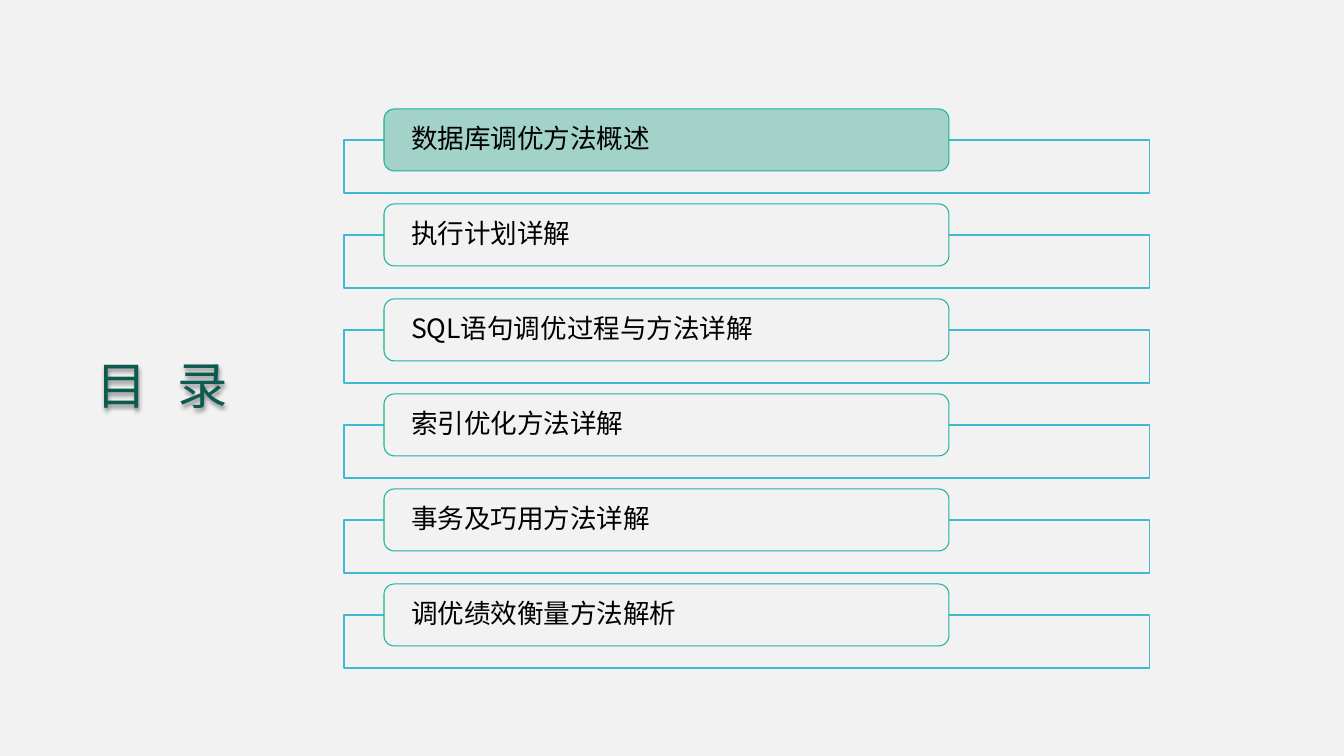
from lxml.etree import SubElement
from pptx import Presentation
from pptx.dml.color import RGBColor
from pptx.enum.shapes import MSO_SHAPE
from pptx.enum.text import MSO_ANCHOR, PP_ALIGN
from pptx.oxml.ns import qn
from pptx.util import Emu, Pt

# Content
HEADING = "目 录"
TOPICS = [
    "数据库调优方法概述",
    "执行计划详解",
    "SQL语句调优过程与方法详解",
    "索引优化方法详解",
    "事务及巧用方法详解",
    "调优绩效衡量方法解析",
]
CURRENT = 0  # highlighted topic

# Format
FONT = "Noto Sans CJK SC"
PAPER, HIGHLIGHT = "F2F2F2", "A2D2C8"
FRAME_LINE, LABEL_LINE = "40BAD2", "1AB39F"
HEADING_FONT = {"name": FONT, "size": Pt(36)}
TOPIC_FONT = {"name": FONT, "size": Pt(19)}

# Layout in px
PITCH = 95
HEADING_BOX = (0, 135, 325, 507)
FRAME = (344, 140, 806, 53)
LABEL = (384, 109, 565, 62)
LABEL_INSET = 24


def px(length):
    return Emu(round(length * 914400 / 100.8))


def color(value):
    return RGBColor.from_string(value)


def place(box, row=0):
    left, top, width, height = box
    return [px(v) for v in (left, top + row * PITCH, width, height)]


def write(shape, text, font_values, ink, align, inset):
    frame = shape.text_frame
    frame_values = {
        "word_wrap": True, "vertical_anchor": MSO_ANCHOR.MIDDLE,
        "margin_left": px(inset), "margin_right": px(inset),
        "margin_top": 0, "margin_bottom": 0,
    }
    for key, value in frame_values.items():
        setattr(frame, key, value)
    paragraph = frame.paragraphs[0]
    paragraph.alignment = align
    paragraph.line_spacing = 0.9
    run = paragraph.add_run()
    run.text = text
    for key, value in font_values.items():
        setattr(run.font, key, value)
    run.font.color.rgb = color(ink)
    properties = run.font._element
    SubElement(properties, qn("a:ea"), typeface=FONT)
    return properties


def add_outline(kind, box, row, line, width, fill=None):
    shape = slide.shapes.add_shape(kind, *place(box, row))
    shape.shadow.inherit = False
    shape.line.color.rgb = color(line)
    shape.line.width = Pt(width)
    if fill:
        shape.fill.solid()
        shape.fill.fore_color.rgb = color(fill)
    else:
        shape.fill.background()
    return shape


deck = Presentation()
deck.slide_width, deck.slide_height = px(1344), px(756)
slide = deck.slides.add_slide(deck.slide_layouts[6])
slide.background.fill.solid()
slide.background.fill.fore_color.rgb = color(PAPER)

# Heading with wide letter spacing and a soft shadow
heading = slide.shapes.add_textbox(*place(HEADING_BOX))
heading_run = write(heading, HEADING, HEADING_FONT, "0D5A4F", PP_ALIGN.CENTER, 10)
heading_run.set("spc", "680")
effects = SubElement(heading._element.spPr, qn("a:effectLst"))
shadow = SubElement(effects, qn("a:outerShdw"), blurRad="38100", dist="25400", dir="5400000")
black = SubElement(shadow, qn("a:srgbClr"), val="000000")
SubElement(black, qn("a:alpha"), val="43000")

# Topics: an open frame with a rounded label on its top edge
for row, topic in enumerate(TOPICS):
    add_outline(MSO_SHAPE.RECTANGLE, FRAME, row, FRAME_LINE, 0.85)
    fill = HIGHLIGHT if row == CURRENT else PAPER
    label = add_outline(MSO_SHAPE.ROUNDED_RECTANGLE, LABEL, row, LABEL_LINE, 0.75, fill)
    write(label, topic, TOPIC_FONT, "000000", PP_ALIGN.LEFT, LABEL_INSET)

deck.save("out.pptx")
